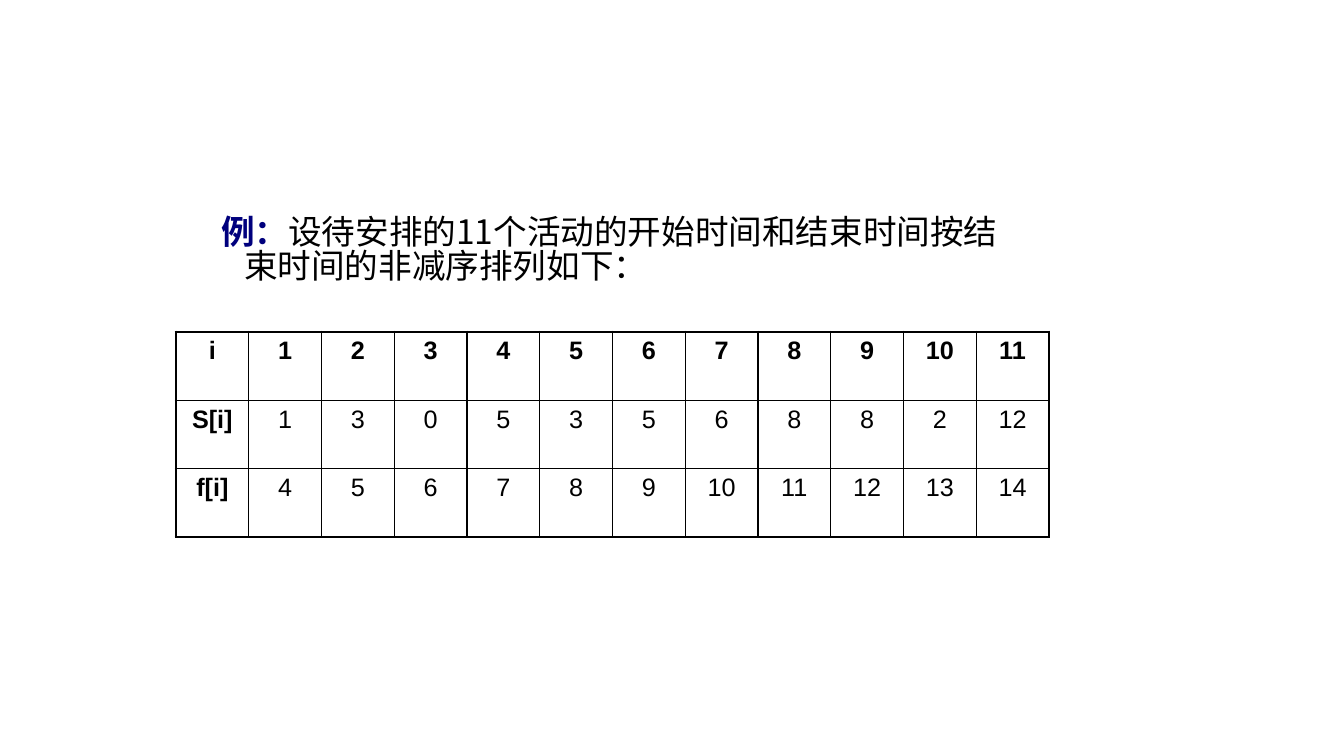
from dataclasses import dataclass

import lxml.etree
import pptx
import pptx.dml.color
import pptx.enum.text
import pptx.oxml.ns
import pptx.util

EMU_PER_PX = 914400 / 100.8
BLACK, NAVY = "000000", "00007D"
CJK, LATIN = "Noto Sans CJK SC", "Arial"
THIN, THICK = 1, 2.25


@dataclass
class Run:
    text: str
    size: int
    font: str
    color: str = BLACK
    bold: bool = False


@dataclass
class Row:
    label: str
    values: list[int]
    bold: bool = False


INTRO = [
    Run("例：", 24, CJK, NAVY, True),
    Run("设待安排的11个活动的开始时间和结束时间按结束时间的非减序排列如下：", 24, CJK),
]
ACTIVITIES = [
    Row("i", list(range(1, 12)), True),
    Row("S[i]", [1, 3, 0, 5, 3, 5, 6, 8, 8, 2, 12]),
    Row("f[i]", list(range(4, 15))),
]


def px(n: int) -> pptx.util.Emu:
    return pptx.util.Emu(round(n * EMU_PER_PX))


def rgb(color: str) -> pptx.dml.color.RGBColor:
    return pptx.dml.color.RGBColor.from_string(color)


def sub(parent, tag: str, **attrs: str):
    return lxml.etree.SubElement(parent, pptx.oxml.ns.qn(tag), attrs)


def add_run(p, run: Run) -> None:
    r = p.add_run()
    r.text = run.text
    r.font.size = pptx.util.Pt(run.size)
    r.font.name = run.font
    r.font.bold = run.bold
    r.font.color.rgb = rgb(run.color)
    sub(r.font._element, "a:ea", typeface=run.font)


def set_borders(cell, widths: dict[str, float]) -> None:
    tc_pr = cell._tc.get_or_add_tcPr()
    for i, (side, width) in enumerate(widths.items()):
        ln = sub(tc_pr, f"a:ln{side}", w=str(pptx.util.Pt(width)))
        sub(sub(ln, "a:solidFill"), "a:srgbClr", val=BLACK)
        tc_pr.insert(i, ln)  # borders come before the fill


def add_intro(s) -> None:
    sp = s.placeholders[1]
    sp.left, sp.top, sp.width, sp.height = px(196), px(212), px(834), px(120)
    tf = sp.text_frame
    tf.word_wrap = True
    tf.auto_size = pptx.enum.text.MSO_AUTO_SIZE.NONE
    p = tf.paragraphs[0]
    p.space_before = pptx.util.Pt(0)
    p.line_spacing = 0.85
    # Hanging indent without a bullet
    p_pr = p._p.get_or_add_pPr()
    p_pr.set("marL", str(px(38)))
    p_pr.set("indent", str(-px(23)))
    sub(p_pr, "a:buNone")
    for run in INTRO:
        add_run(p, run)


def add_activities(s) -> None:
    n_rows, n_cols = len(ACTIVITIES), len(ACTIVITIES[0].values) + 1
    frame = s.shapes.add_table(n_rows, n_cols, px(176), px(332), px(873), px(205))
    table = frame.table
    table.first_row = table.horz_banding = False
    for i, row in enumerate(ACTIVITIES):
        for j, value in enumerate([row.label, *row.values]):
            cell = table.cell(i, j)
            cell.fill.background()
            # Thick outer frame, thin inner grid
            set_borders(cell, {
                "L": THICK if j == 0 else THIN,
                "R": THICK if j == n_cols - 1 else THIN,
                "T": THICK if i == 0 else THIN,
                "B": THICK if i == n_rows - 1 else THIN,
            })
            p = cell.text_frame.paragraphs[0]
            p.alignment = pptx.enum.text.PP_ALIGN.CENTER
            add_run(p, Run(str(value), 18, LATIN, bold=row.bold or j == 0))


def main() -> None:
    prs = pptx.Presentation()
    prs.slide_width, prs.slide_height = px(1344), px(756)
    s = prs.slides.add_slide(prs.slide_layouts[1])

    # The slide has no title
    title = s.shapes.title._element
    title.getparent().remove(title)

    add_intro(s)
    add_activities(s)
    prs.save("out.pptx")


if __name__ == "__main__":
    main()
